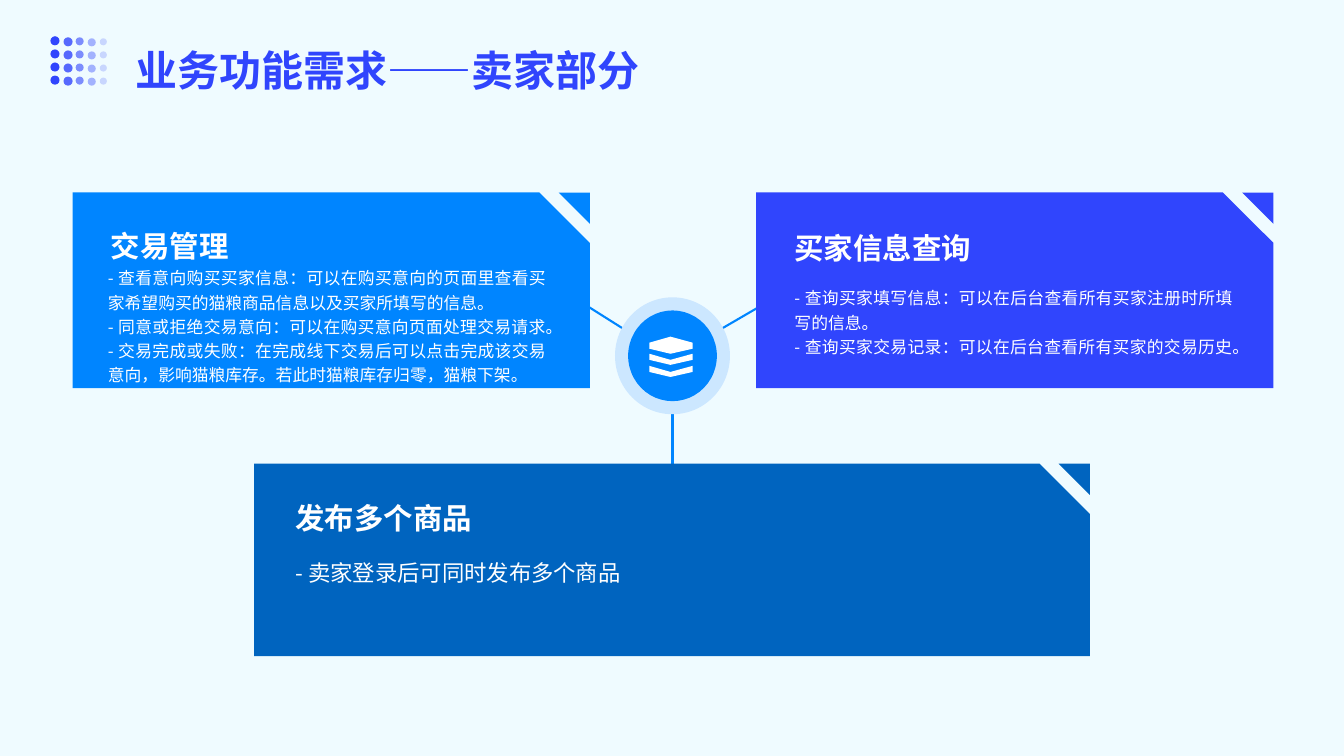
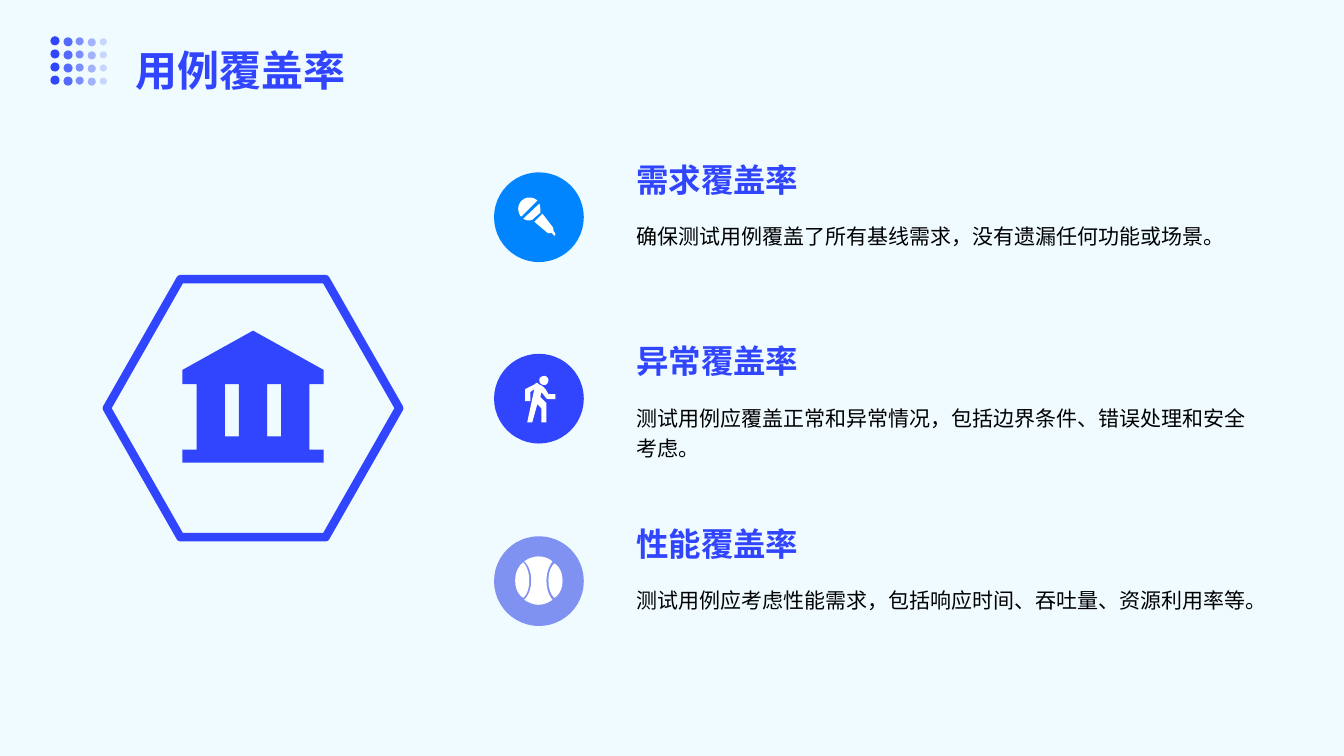
from dataclasses import dataclass

from lxml.etree import SubElement
from pptx import Presentation
from pptx.dml.color import RGBColor
from pptx.enum.shapes import MSO_CONNECTOR as Connector, MSO_SHAPE as Preset
from pptx.enum.text import MSO_ANCHOR as Anchor, MSO_AUTO_SIZE as AutoSize, PP_ALIGN as Align
from pptx.oxml.ns import qn
from pptx.util import Pt

PX = 9144


@dataclass(frozen=True)
class Theme:
    font: str = "Noto Sans CJK SC"
    background: str = "EFFBFF"
    indigo: str = "3045FD"
    azure: str = "0085FF"
    navy: str = "0064BF"
    halo: str = "CCE7FF"
    lavender: str = "7F91F1"
    white: str = "FFFFFF"
    black: str = "000000"
    title: float = 30
    section: float = 23.2
    card: float = 21
    lead: float = 16
    body: float = 15
    detail: float = 12


theme = Theme()


def add_filled(slide, preset, box, colour):
    shape = slide.shapes.add_shape(preset, *(value * PX for value in box))
    shape.shadow.inherit = False
    shape.fill.solid()
    shape.fill.fore_color.rgb = RGBColor.from_string(colour)
    shape.line.fill.background()
    return shape


def write(shape, box, lines, size, colour, bold=False, spacing=1.2,
          align=Align.LEFT, insets=(12, 6, 12, 6)):
    shape.left, shape.top, shape.width, shape.height = (value * PX for value in box)
    frame = shape.text_frame
    frame.text = "\n".join(lines)
    frame.word_wrap = True
    frame.auto_size = AutoSize.NONE
    frame.vertical_anchor = Anchor.TOP
    frame.margin_left, frame.margin_top, frame.margin_right, frame.margin_bottom = (
        value * PX for value in insets)
    for paragraph in frame.paragraphs:
        paragraph.alignment = align
        paragraph.line_spacing = spacing
        font = paragraph.font
        font.size, font.bold, font.name = Pt(size), bold, theme.font
        font.color.rgb = RGBColor.from_string(colour)
        properties = paragraph._p.pPr.find(qn("a:defRPr"))
        SubElement(properties, qn("a:ea"), typeface=theme.font)


presentation = Presentation()
presentation.slide_width = 1333 * PX
presentation.slide_height = 750 * PX
master_fill = presentation.slide_master.background.fill
master_fill.solid()
master_fill.fore_color.rgb = RGBColor.from_string(theme.background)

dot_columns = [(50, 36, 9), (63, 37, 9), (75, 37, 8), (87, 38, 8), (99, 38, 7)]
slides = []
for title in ("业务功能需求——卖家部分", "用例覆盖率"):
    slide = presentation.slides.add_slide(presentation.slide_layouts[5])
    write(slide.shapes.title, (120, 10, 1094, 90), [title], theme.title, theme.indigo,
          bold=True, spacing=1.4, insets=(14, 14, 6, 14))
    for column, (left, top, size) in enumerate(dot_columns):
        for row in range(4):
            dot = add_filled(slide, Preset.OVAL, (left, top + 13 * row, size, size), theme.indigo)
            colour_element = dot.element.spPr.find(".//" + qn("a:srgbClr"))
            SubElement(colour_element, qn("a:alpha"), val=str(100000 - 20000 * column))
    slides.append(slide)
seller_slide, coverage_slide = slides

spokes = [(667, 357, 572, 297), (752, 305, 666, 355), (667, 481, 667, 356)]
for spoke in spokes:
    connector = seller_slide.shapes.add_connector(
        Connector.STRAIGHT, *(value * PX for value in spoke))
    connector.line.color.rgb = RGBColor.from_string(theme.azure)
    connector.line.width = Pt(1.5)
    SubElement(connector.element.spPr, qn("a:effectLst"))

cards = [
    ((72, 191, 513, 194), theme.azure,
     (98, 213, 421, 51), "交易管理",
     (95, 256, 459, 132), theme.detail, [
         "- 查看意向购买买家信息：可以在购买意向的页面里查看买家希望购买的猫粮商品信息以及买家所填写的信息。",
         "- 同意或拒绝交易意向：可以在购买意向页面处理交易请求。",
         "- 交易完成或失败：在完成线下交易后可以点击完成该交易意向，影响猫粮库存。若此时猫粮库存归零，猫粮下架。"]),
    ((750, 191, 513, 194), theme.indigo,
     (776, 215, 432, 51), "买家信息查询",
     (776, 276, 459, 83), theme.detail, [
         "- 查询买家填写信息：可以在后台查看所有买家注册时所填写的信息。",
         "- 查询买家交易记录：可以在后台查看所有买家的交易历史。"]),
    ((252, 460, 829, 191), theme.navy,
     (281, 483, 478, 51), "发布多个商品",
     (281, 543, 752, 42), theme.lead, ["- 卖家登录后可同时发布多个商品"]),
]
snip, fold = 50, 31
for box, colour, heading_box, heading, detail_box, detail_size, details in cards:
    left, top, width, height = box
    card = add_filled(seller_slide, Preset.SNIP_1_RECTANGLE, box, colour)
    card.adjustments[0] = snip / height
    corner = add_filled(seller_slide, Preset.RIGHT_TRIANGLE,
                        (left + width - fold, top, fold, fold), colour)
    corner.rotation = 180
    write(seller_slide.shapes.add_textbox(0, 0, 0, 0), heading_box, [heading],
          theme.card, theme.white, bold=True)
    write(seller_slide.shapes.add_textbox(0, 0, 0, 0), detail_box, details,
          detail_size, theme.white, align=Align.JUSTIFY)

add_filled(seller_slide, Preset.OVAL, (610, 295, 114, 116), theme.halo)
add_filled(seller_slide, Preset.OVAL, (623, 308, 88, 90), theme.azure)

sections = [
    ("需求覆盖率", "确保测试用例覆盖了所有基线需求，没有遗漏任何功能或场景。", theme.azure),
    ("异常覆盖率", "测试用例应覆盖正常和异常情况，包括边界条件、错误处理和安全考虑。", theme.indigo),
    ("性能覆盖率", "测试用例应考虑性能需求，包括响应时间、吞吐量、资源利用率等。", theme.lavender),
]
for index, (heading, description, colour) in enumerate(sections):
    top = 161 + 361 * index // 2
    add_filled(coverage_slide, Preset.OVAL, (490, top + 10, 89, 89), colour)
    write(coverage_slide.shapes.add_textbox(0, 0, 0, 0), (619, top, 494, 44), [heading],
          theme.section, theme.indigo, bold=True, spacing=0.77)
    write(coverage_slide.shapes.add_textbox(0, 0, 0, 0), (619, top + 50, 632, 77),
          [description], theme.body, theme.black)

hexagon = add_filled(coverage_slide, Preset.HEXAGON, (106, 277, 290, 256), theme.background)
hexagon.adjustments[0] = 73 / 256
hexagon.line.color.rgb = RGBColor.from_string(theme.indigo)
hexagon.line.width = Pt(6)
SubElement(hexagon.element.spPr.find(qn("a:ln")), qn("a:round"))

layers = [[(644, 340), (665, 334), (687, 340), (687, 346), (665, 351), (644, 346)]]
for y in (351, 363):
    layers.append([(644, y), (665, y + 6), (687, y), (687, y + 6), (665, y + 11), (644, y + 6)])

microphone = [
    [(536, 211), (536, 208, 536, 205, 535, 202), (519, 217),
     (522, 219, 525, 219, 528, 218)],
    [(533, 199), (531, 197, 528, 196, 525, 196), (519, 196, 514, 201, 514, 207),
     (514, 210, 515, 213, 517, 215)],
    [(549, 229), (549, 229, 549, 226, 548, 225), (538, 212), (530, 220), (543, 231),
     (544, 232, 547, 231, 547, 231), (550, 234), (551, 232)],
]

walker = [
    [(537, 389), (541, 394), (541, 395, 543, 396, 544, 396), (551, 396), (551, 391),
     (544, 391), (541, 386), (540, 385, 539, 384, 538, 383), (534, 381),
     (534, 380, 533, 380, 532, 380), (532, 380, 531, 380, 531, 381), (521, 386),
     (521, 398), (526, 398), (526, 389), (530, 386), (523, 419), (528, 419), (533, 401),
     (537, 405), (537, 419), (542, 419), (542, 400), (536, 394)],
    [(540, 382), (542, 382, 544, 380, 544, 377), (544, 375, 542, 373, 540, 373),
     (537, 373, 535, 375, 535, 377), (535, 380, 537, 382, 540, 382)],
]

ball = [
    [(542, 576), (542, 564, 548, 557, 548, 557), (548, 557, 543, 552, 534, 552),
     (526, 552, 520, 557, 520, 557), (520, 557, 527, 562, 527, 576),
     (527, 589, 520, 595, 520, 595), (520, 595, 527, 600, 534, 600),
     (542, 600, 548, 595, 548, 595), (548, 595, 542, 589, 542, 576)],
    [(519, 558), (519, 558, 511, 563, 511, 576), (511, 589, 519, 593, 519, 593),
     (519, 593, 525, 589, 525, 576), (525, 563, 519, 558, 519, 558)],
    [(550, 559), (550, 559, 544, 563, 544, 576), (544, 589, 550, 593, 550, 593),
     (550, 593, 558, 589, 558, 576), (558, 563, 550, 559, 550, 559)],
]

bank = [[(181, 367), (251, 328), (321, 367), (321, 381), (307, 381), (307, 446), (321, 446),
         (321, 459), (181, 459), (181, 446), (195, 446), (195, 381), (181, 381)]]
for x in (223, 265):
    bank.append([(x, 381), (x, 433), (x + 14, 433), (x + 14, 381)])

icons = [
    (seller_slide, layers, theme.white),
    (coverage_slide, microphone, theme.white),
    (coverage_slide, walker, theme.white),
    (coverage_slide, ball, theme.white),
    (coverage_slide, bank, theme.indigo),
]
curve_steps = 8
for slide, contours, colour in icons:
    builder = None
    for start, *segments in contours:
        points = [start]
        for segment in segments:
            if len(segment) == 2:
                points.append(segment)
                continue
            controls = [points[-1], segment[:2], segment[2:4], segment[4:]]
            for step in range(1, curve_steps + 1):
                t = step / curve_steps
                weights = ((1 - t) ** 3, 3 * t * (1 - t) ** 2, 3 * t ** 2 * (1 - t), t ** 3)
                points.append(tuple(
                    sum(weight * control[axis] for weight, control in zip(weights, controls))
                    for axis in (0, 1)))
        scaled = [(x * PX, y * PX) for x, y in points]
        if builder is None:
            builder = slide.shapes.build_freeform(*scaled[0])
        else:
            builder.move_to(*scaled[0])
        builder.add_line_segments(scaled[1:], close=True)
    icon = builder.convert_to_shape()
    icon.shadow.inherit = False
    icon.fill.solid()
    icon.fill.fore_color.rgb = RGBColor.from_string(colour)
    icon.line.fill.background()

presentation.save("out.pptx")
